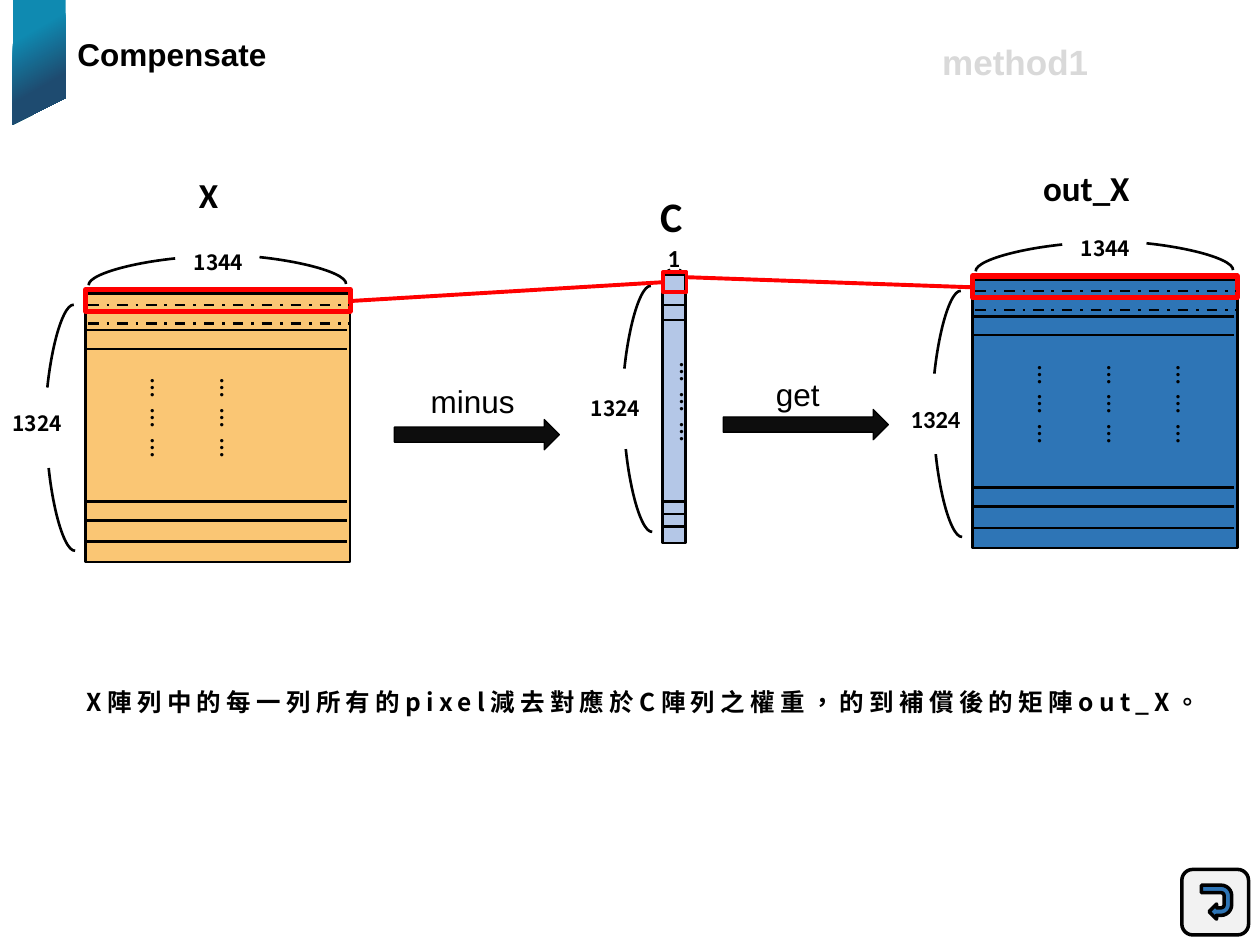
from lxml import etree
from pptx import Presentation
from pptx.dml.color import RGBColor
from pptx.enum.dml import MSO_LINE
from pptx.enum.shapes import MSO_CONNECTOR, MSO_SHAPE
from pptx.enum.text import MSO_AUTO_SIZE, PP_ALIGN
from pptx.oxml.ns import qn
from pptx.util import Emu, Pt

PX = 9144  # EMU per px, 100 px to the inch

ARC, RECT = MSO_SHAPE.ARC, MSO_SHAPE.RECTANGLE
ARROW, BUTTON = MSO_SHAPE.RIGHT_ARROW, MSO_SHAPE.ROUNDED_RECTANGLE
U_TURN = MSO_SHAPE.U_TURN_ARROW
STRAIGHT = MSO_CONNECTOR.STRAIGHT
DASH_DOT = MSO_LINE.DASH_DOT
CENTER = PP_ALIGN.CENTER
GROW = MSO_AUTO_SIZE.SHAPE_TO_FIT_TEXT

BLACK = RGBColor(0, 0, 0)
INK = RGBColor(0x0D, 0x0D, 0x0D)
RED = RGBColor(0xFF, 0, 0)
ORANGE = RGBColor(0xFA, 0xC6, 0x74)
PALE_BLUE = RGBColor(0xB4, 0xC7, 0xE7)
BLUE = RGBColor(0x2E, 0x75, 0xB6)
TEAL = RGBColor(0x0F, 0x8A, 0xB1)
NAVY = RGBColor(0x1E, 0x4B, 0x70)
PALE_GREY = RGBColor(0xF2, 0xF2, 0xF2)
GREY = RGBColor(0xD9, 0xD9, 0xD9)

SANS, BODY, CJK = "Arial", "Calibri", "Noto Sans CJK SC"

MATRIX_WIDTH, MATRIX_HEIGHT, COLUMN_WIDTH = 210, 213, 18
MATRIX_ROWS = (14, 29, 44, 165, 180, 197)
COLUMN_ROWS = (13, 24, 36, 180, 190, 200)
DASHED_ROWS = (9, 24)


class Painter:
    """Draws styled elements on one slide, with lengths in px."""

    def __init__(self, slide):
        self.slide = slide
        self.shapes = slide.shapes

    def emu(self, *lengths):
        return [Emu(length * PX) for length in lengths]

    def shape(self, kind, at, fill=None, line=BLACK, weight=1.5, rotation=0, flip=False):
        shape = self.shapes.add_shape(kind, *self.emu(*at))
        shape.shadow.inherit = False
        shape.rotation = rotation
        if flip:
            shape.element.spPr.xfrm.set("flipH", "1")
        if fill is None:
            shape.fill.background()
        else:
            shape.fill.solid()
            shape.fill.fore_color.rgb = fill
        shape.line.color.rgb = line
        shape.line.width = Pt(weight)
        return shape

    def line(self, start, end, color=BLACK, weight=1.5, dash=None):
        line = self.shapes.add_connector(STRAIGHT, *self.emu(*start, *end))
        etree.SubElement(line.element.spPr, qn("a:effectLst"))
        line.line.color.rgb = color
        line.line.width = Pt(weight)
        if dash:
            line.line.dash_style = dash

    def text(self, words, at, size, font=BODY, bold=True, color=BLACK, wrap=True,
             spacing=0, vertical=False, **para_format):
        box = self.shapes.add_textbox(*self.emu(*at))
        frame = box.text_frame
        frame.word_wrap = wrap
        frame.auto_size = GROW
        if vertical:
            frame._txBody.bodyPr.set("vert", "eaVert")
        para = frame.paragraphs[0]
        for name, value in para_format.items():
            setattr(para, name, value)
        span = para.add_run()
        span.text = words
        for name, value in {"name": font, "size": Pt(size), "bold": bold}.items():
            setattr(span.font, name, value)
        span.font.color.rgb = color
        properties = span.font._element
        properties.set("lang", "zh-TW")
        etree.SubElement(properties, qn("a:ea")).set("typeface", font)
        if spacing:
            properties.set("spc", str(spacing * 100))

    def ribbon(self, points):
        builder = self.shapes.build_freeform(*points[0], scale=PX)
        builder.add_line_segments(points[1:], close=True)
        ribbon = builder.convert_to_shape()
        ribbon.shadow.inherit = False
        ribbon.line.fill.background()
        ribbon.fill.gradient()
        ribbon.fill.gradient_angle = 300
        stops = zip(ribbon.fill.gradient_stops, (TEAL, NAVY), (0.32, 0.7))
        for stop, color, position in stops:
            stop.color.rgb = color
            stop.position = position

    def rows(self, left, top, width, offsets, dash=None):
        for offset in offsets:
            y = top + offset
            self.line((left, y), (left + width, y), dash=dash)

    def height_bracket(self, left, top):
        self.shape(ARC, (left - 83, top + 123, 135, 28), rotation=264, flip=True)
        self.shape(ARC, (left - 84, top + 62, 135, 28), rotation=276)

    def width_bracket(self, left, top):
        self.shape(ARC, (left + 2, top - 28, 141, 28), rotation=354, flip=True)
        self.shape(ARC, (left + 66, top - 29, 141, 28), rotation=6)
        self.text("1344", (left + 76, top - 40, 60, 30), 12, CJK, wrap=False)

    def dots(self, left, top, height=234):
        self.text("………", (left, top, 46, height), 16, bold=False, spacing=6, vertical=True)

    def matrix(self, left, top, fill, dot_columns):
        self.shape(RECT, (left, top, MATRIX_WIDTH, MATRIX_HEIGHT), fill)
        self.width_bracket(left, top)
        self.height_bracket(left, top)
        self.rows(left, top, 207, MATRIX_ROWS)
        for column in range(dot_columns):
            self.dots(left + 33 + 55 * column, top + 58)
        self.shape(RECT, (left, top - 3, MATRIX_WIDTH, 17), line=RED, weight=3)
        self.rows(left + 2, top, 207, DASHED_ROWS, DASH_DOT)

    def weight_column(self, left, top):
        self.shape(RECT, (left, top, COLUMN_WIDTH, MATRIX_HEIGHT), PALE_BLUE)
        self.height_bracket(left, top)
        self.shape(ARC, (left - 2, top - 2, 19, 14), weight=0.75, rotation=260)
        self.shape(ARC, (left + 2, top - 2, 19, 14), weight=0.75, rotation=100, flip=True)
        self.rows(left, top, COLUMN_WIDTH, COLUMN_ROWS)
        self.dots(left - 5, top + 60, 111)

    def step(self, word, word_at, arrow_at):
        self.shape(ARROW, (*arrow_at, 131, 24), INK, weight=0.75)
        self.text(word, word_at, 18, SANS, bold=False, wrap=False)


def main():
    deck = Presentation()
    deck.slide_width, deck.slide_height = Emu(1000 * PX), Emu(750 * PX)
    page = Painter(deck.slides.add_slide(deck.slide_layouts[6]))

    page.ribbon([(10, 99), (52, 78), (52, -9), (10, -9)])
    page.text("Compensate", (27, 14, 219, 49), 18, SANS, alignment=CENTER, line_spacing=1.3)
    page.text("method1", (738, 27, 137, 44), 20, SANS, color=GREY, wrap=False)

    page.matrix(68, 233, ORANGE, dot_columns=2)
    page.text("X", (148, 133, 31, 43), 20)
    page.text("1324", (0, 321, 60, 30), 12, CJK, wrap=False)

    page.weight_column(526, 218)
    page.text("C", (514, 146, 42, 49), 24)
    page.text("1", (520, 188, 31, 39), 14)
    page.text("1324", (459, 309, 75, 30), 12, CJK)

    page.matrix(772, 222, BLUE, dot_columns=3)
    page.text("out_X", (818, 127, 131, 44), 20)
    page.text("1324", (713, 316, 70, 34), 14)

    page.step("minus", (332, 298, 88, 40), (313, 333))
    page.step("get", (606, 293, 55, 40), (574, 325))

    page.line((277, 239), (526, 224), RED, 2.25)
    page.shape(RECT, (526, 216, 19, 16), line=RED, weight=2)
    page.line((545, 220), (771, 228), RED, 2.25)

    page.text("X陣列中的每一列所有的pixel減去對應於C陣列之權重，的到補償後的矩陣out_X。",
              (59, 540, 939, 34), 14, CJK, spacing=3)

    page.shape(BUTTON, (938, 690, 53, 52), PALE_GREY, weight=2)
    back_arrow = page.shape(U_TURN, (952, 704, 27, 24), BLUE, weight=2, rotation=90)
    for index, value in enumerate((0.25, 0.25, 0.25, 0.35, 0.75)):
        back_arrow.adjustments[index] = value

    deck.save("out.pptx")


if __name__ == "__main__":
    main()
